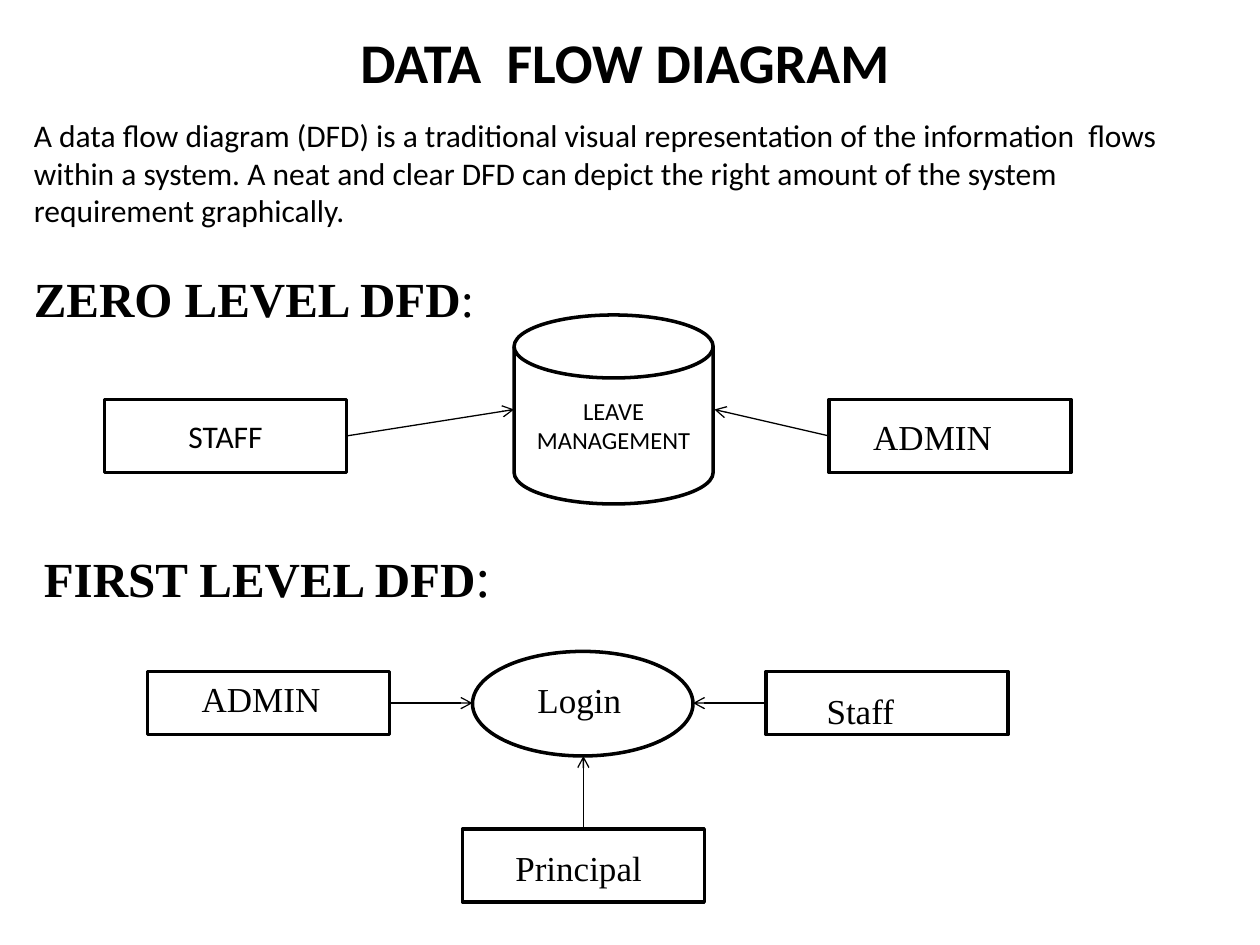
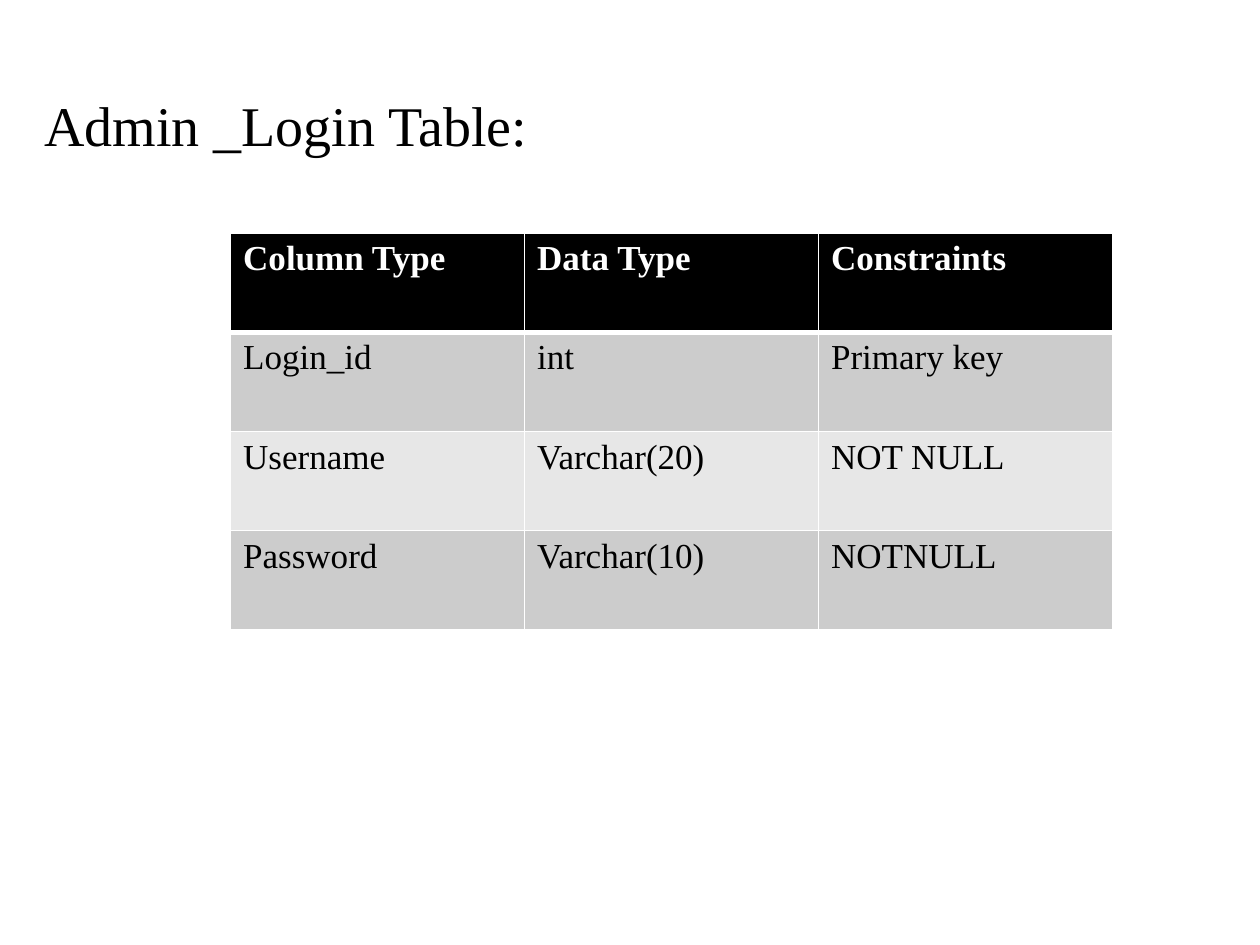
"""Build two slides: a data flow diagram and a login table description."""
from lxml import etree
from pptx import Presentation
from pptx.dml.color import RGBColor
from pptx.enum import shapes, text
from pptx.oxml import parse_xml
from pptx.oxml.ns import nsdecls, qn
from pptx.util import Inches, Pt

COLORS = {"ink": "000000", "paper": "FFFFFF", "band_dark": "CCCCCC", "band_light": "E7E7E7"}
COLORS = {name: RGBColor.from_string(value) for name, value in COLORS.items()}
SANS, SERIF = "Calibri", "Times New Roman"
LEFT, CENTER = text.PP_ALIGN.LEFT, text.PP_ALIGN.CENTER


def style_font(font, name, size, bold=False, color="ink"):
    font.name, font.size, font.bold = name, Pt(size), bold
    font.color.rgb = COLORS[color]


def place_title(slide, words, box, alignment, name, bold):
    title = slide.shapes.title
    title.left, title.top, title.width, title.height = map(Inches, box)
    frame = title.text_frame
    frame.text = words
    frame.vertical_anchor = text.MSO_ANCHOR.TOP
    frame.paragraphs[0].alignment = alignment
    style_font(frame.paragraphs[0].font, name, 32, bold)


presentation = Presentation()
presentation.slide_width, presentation.slide_height = Inches(10), Inches(7.5)
title_only = presentation.slide_layouts[5]

diagram = presentation.slides.add_slide(title_only)
place_title(diagram, "DATA  FLOW DIAGRAM", (0.17, 0.17, 9.58, 0.65), CENTER, SANS, True)

intro = diagram.shapes.add_textbox(Inches(0.17), Inches(0.87), Inches(9.58), Inches(1.02))
intro.text_frame.word_wrap = True
intro.text_frame.text = (
    "A data flow diagram (DFD) is a traditional visual representation of the information  flows "
    "within a system. A neat and clear DFD can depict the right amount of the system "
    "requirement graphically.")
style_font(intro.text_frame.paragraphs[0].font, SANS, 18)

headings = [("ZERO LEVEL DFD", 0.17, 2.08, 28), ("FIRST LEVEL DFD", 0.25, 4.25, 32)]
for words, left, top, colon_size in headings:
    heading = diagram.shapes.add_textbox(Inches(left), Inches(top), Inches(4.48), Inches(0.6))
    heading.text_frame.word_wrap = True
    paragraph = heading.text_frame.paragraphs[0]
    for part, size, bold in [(words, 28, True), (":", colon_size, False)]:
        run = paragraph.add_run()
        run.text = part
        style_font(run.font, SERIF, size, bold)

RECTANGLE = shapes.MSO_SHAPE.RECTANGLE
DISK = shapes.MSO_SHAPE.FLOWCHART_MAGNETIC_DISK
OVAL = shapes.MSO_SHAPE.OVAL
nodes = [
    ("staff", RECTANGLE, (0.83, 3.17, 1.92, 0.58), "STAFF", SANS, 18, None),
    ("store", DISK, (4.08, 2.5, 1.58, 1.5), "LEAVE MANAGEMENT", SANS, 14, None),
    ("admin", RECTANGLE, (6.58, 3.17, 1.92, 0.58), "ADMIN", SERIF, 20, (0.35, 0.13)),
    ("principal", RECTANGLE, (3.67, 6.58, 1.92, 0.58), "Principal", SERIF, 20, (0.42, 0.14)),
    ("staff_login", RECTANGLE, (6.08, 5.33, 1.92, 0.5), "Staff", SERIF, 20, (0.48, 0.14)),
    ("admin_login", RECTANGLE, (1.17, 5.33, 1.92, 0.5), "ADMIN", SERIF, 20, (0.43, 0.05)),
    ("login", OVAL, (3.75, 5.17, 1.75, 0.83), "Login", SERIF, 20, (0.26, 0.09)),
]
placed = {}
for key, kind, box, words, name, size, inset in nodes:
    shape = diagram.shapes.add_shape(kind, *map(Inches, box))
    shape.shadow.inherit = False
    shape.fill.solid()
    shape.fill.fore_color.rgb = COLORS["paper"]
    shape.line.color.rgb = COLORS["ink"]
    shape.line.width = Pt(2)
    frame = shape.text_frame
    frame.text = words
    paragraph = frame.paragraphs[0]
    paragraph.alignment = CENTER
    style_font(paragraph.font, name, size)
    if inset:
        paragraph.alignment = LEFT
        frame.vertical_anchor = text.MSO_ANCHOR.TOP
        frame.margin_left, frame.margin_top = map(Inches, inset)
        frame.margin_right = frame.margin_bottom = 0
    placed[key] = shape

flows = [
    ("staff", 3, (4.08, 3.25)),
    ("admin", 1, (5.67, 3.25)),
    ("admin_login", 3, (3.75, 5.58)),
    ("staff_login", 1, (5.5, 5.58)),
    ("principal", 0, (4.63, 6)),
]
for source, side, (end_x, end_y) in flows:
    arrow = diagram.shapes.add_connector(
        shapes.MSO_CONNECTOR.STRAIGHT, 0, 0, Inches(end_x), Inches(end_y))
    arrow.begin_connect(placed[source], side)
    arrow.line.color.rgb = COLORS["ink"]
    arrow.line.width = Pt(0.75)
    etree.SubElement(arrow.line._get_or_add_ln(), qn("a:tailEnd"), type="arrow")
    etree.SubElement(arrow._element.spPr, qn("a:effectLst"))

login_slide = presentation.slides.add_slide(title_only)
place_title(login_slide, "Admin _Login Table:", (0.25, 0.67, 4.41, 0.64), LEFT, SERIF, False)

rows = [
    ("Column Type", "Data Type", "Constraints"),
    ("Login_id", "int", "Primary key"),
    ("Username", "Varchar(20)", "NOT NULL"),
    ("Password", "Varchar(10)", "NOTNULL"),
]
table = login_slide.shapes.add_table(
    len(rows), 3, Inches(1.83), Inches(1.85), Inches(7), Inches(3.15)).table
fills = ["ink", "band_dark", "band_light", "band_dark"]
for row_index, (row, fill) in enumerate(zip(rows, fills)):
    header = row_index == 0
    for column_index, words in enumerate(row):
        cell = table.cell(row_index, column_index)
        cell.text = words
        style_font(cell.text_frame.paragraphs[0].font, SERIF, 20, header,
                   "paper" if header else "ink")
        for side in "LRTB":
            heavy = (row_index, side) in [(0, "B"), (1, "T")]
            cell._tc.get_or_add_tcPr().append(parse_xml(
                f'<a:ln{side} {nsdecls("a")} w="{Pt(3 if heavy else 1)}"><a:solidFill>'
                f'<a:srgbClr val="{COLORS["paper"]}"/></a:solidFill></a:ln{side}>'))
        cell.fill.solid()
        cell.fill.fore_color.rgb = COLORS[fill]

presentation.save("out.pptx")
